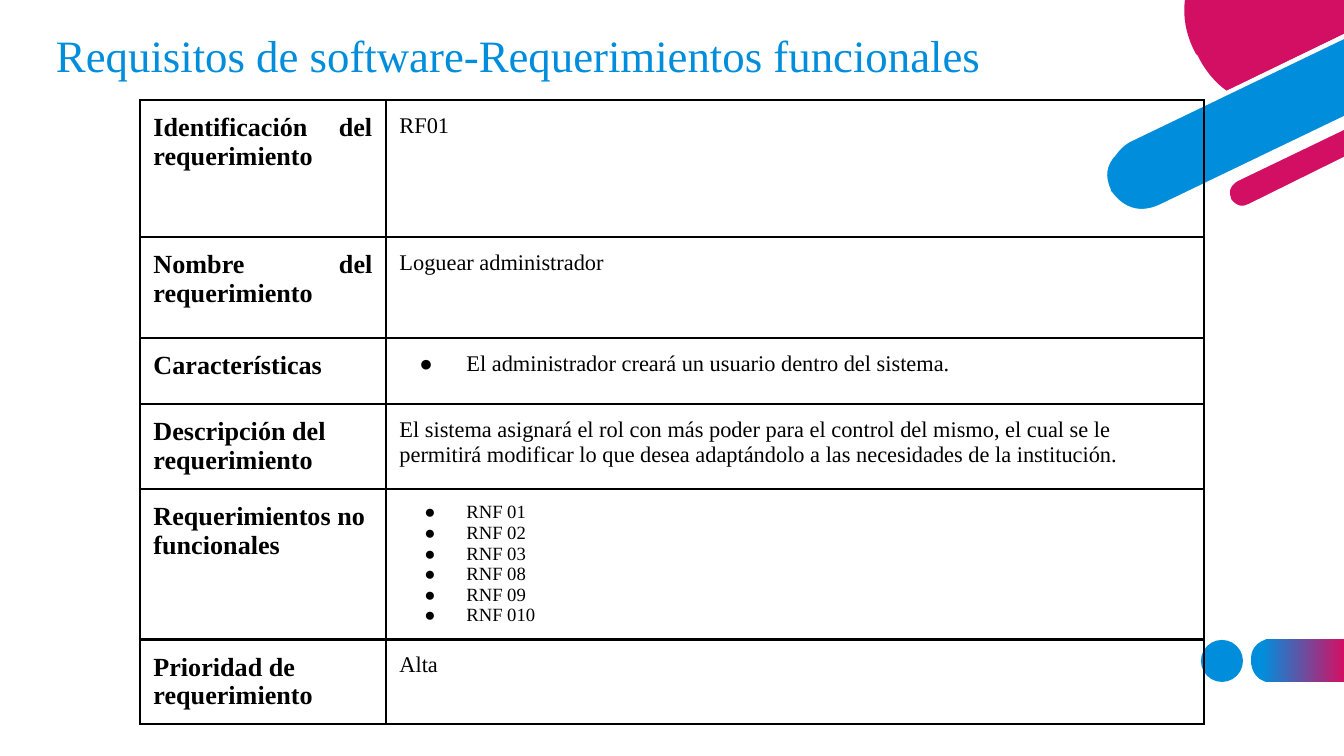
from dataclasses import dataclass

from lxml.etree import SubElement
from pptx import Presentation
from pptx.dml.color import RGBColor as RGB
from pptx.enum.shapes import MSO_SHAPE as Shape
from pptx.enum.text import MSO_ANCHOR as Anchor, PP_ALIGN as Align
from pptx.oxml.ns import qn
from pptx.util import Inches, Pt

SCALE = 914400 / 134.4  # EMU in one px


@dataclass(frozen=True)
class Theme:
    blue: str = "008EDC"
    pink: str = "D30F64"
    white: str = "FFFFFF"
    black: str = "000000"
    font: str = "Times New Roman"
    title: int = 24
    label: int = 14
    body: int = 12
    small: int = 10
    rule: float = 1.5


THEME = Theme()
SIZE = (1344, 756)
TITLE = "Requisitos de software-Requerimientos funcionales"
TITLE_BOX = (46, 15, 1253, 85)

# Label, label alignment, lines, text size, bullet indent in px (0: no bullet), row height
LEFT, JUST = Align.LEFT, Align.JUSTIFY
ROWS = [
    ("Identificación del requerimiento", JUST, ["RF01"], THEME.body, 0, 137),
    ("Nombre del requerimiento", JUST, ["Loguear administrador"], THEME.body, 0, 101),
    ("Características", LEFT,
     ["El administrador creará un usuario dentro del sistema."], THEME.body, 47, 66),
    ("Descripción del requerimiento", LEFT,
     ["El sistema asignará el rol con más poder para el control del mismo, el cual "
      "se le permitirá modificar lo que desea adaptándolo a las necesidades de la "
      "institución."], THEME.body, 0, 85),
    ("Requerimientos no funcionales", LEFT,
     ["RNF 01", "RNF 02", "RNF 03", "RNF 08", "RNF 09", "RNF 010"],
     THEME.small, 42, 150),
    ("Prioridad de requerimiento", LEFT, ["Alta"], THEME.body, 0, 84),
]
TABLE_AT = (140, 100)
COLS = (246, 818)
PAD = Inches(0.1)
HANG = 67

DOT = (1201, 640, 42, 42)
# Outlines in px: a pair is a straight line, six numbers are a cubic curve
PILL = [(1271, 682), (1344, 682), (1344, 639), (1271, 639),
        (1271, 639, 1251, 639, 1251, 660), (1251, 661),
        (1251, 661, 1251, 682, 1271, 682)]
DISC_RIM = [(1343, 82), (1316, 95), (1284, 112, 1254, 109, 1228, 90),
            (1210, 75, 1199, 55, 1199, 55), (1198, 52),
            (1188, 34, 1184, 16, 1187, 0), (1183, 0),
            (1181, 17, 1184, 35, 1193, 54), (1195, 58),
            (1196, 58, 1206, 78, 1226, 93), (1238, 102, 1254, 110, 1274, 110),
            (1288, 110, 1302, 106, 1318, 99), (1343, 87)]
BAR = [(1130, 140), (1130, 140, 1093, 159, 1110, 191),
       (1110, 191, 1126, 223, 1163, 206), (1344, 118), (1344, 36)]
DISC = [(1198, 56), (1198, 56, 1207, 77, 1227, 91), (1344, 34), (1344, 0),
        (1185, 0), (1183, 15, 1185, 34, 1196, 54)]
STRIP = [(1344, 128), (1236, 180), (1236, 180, 1223, 187, 1230, 199), (1230, 200),
         (1230, 200, 1236, 212, 1250, 206), (1344, 160)]
STRIP_RIM = [(1249, 204), (1238, 210, 1232, 200, 1231, 199), (1231, 198),
             (1226, 187, 1238, 181, 1238, 181), (1344, 130), (1344, 125),
             (1236, 177), (1236, 177, 1228, 181, 1226, 188),
             (1226, 192, 1226, 196, 1227, 200), (1230, 204, 1235, 210, 1242, 210),
             (1245, 210, 1247, 210, 1251, 208), (1344, 163), (1344, 157)]
BAR_RIM = [(1161, 204), (1128, 220, 1113, 192, 1111, 191), (1111, 190),
           (1105, 177, 1106, 165, 1116, 155), (1122, 146, 1130, 142, 1130, 142),
           (1344, 39), (1344, 34), (1129, 138), (1128, 138, 1110, 148, 1105, 164),
           (1102, 173, 1103, 181, 1107, 191), (1109, 192),
           (1109, 192, 1120, 214, 1142, 214), (1148, 214, 1156, 212, 1164, 208),
           (1344, 121), (1344, 116)]
ART = [(DISC_RIM, THEME.white), (BAR, THEME.blue), (DISC, THEME.pink),
       (STRIP, THEME.pink), (STRIP_RIM, THEME.white), (BAR_RIM, THEME.white)]


def px(n):
    return round(n * SCALE)


def color(code):
    return RGB.from_string(code)


def paint(shape, code):
    shape.shadow.inherit = False
    shape.line.fill.background()
    shape.fill.solid()
    shape.fill.fore_color.rgb = color(code)


def draw(shapes, parts, code):
    """Build an outline, then join each curve's three lines into one cubic."""
    first, *rest = parts
    pen = shapes.build_freeform(*first, scale=SCALE)
    pen.add_line_segments([part[i:i + 2] for part in rest for i in range(0, len(part), 2)])
    shape = pen.convert_to_shape()
    lines = iter(list(shape._element.iter(qn("a:lnTo"))))
    for part in rest:
        line = next(lines)
        if len(part) == 6:
            line.tag = qn("a:cubicBezTo")
            for extra in (next(lines), next(lines)):
                line.append(extra[0])
                extra.getparent().remove(extra)
    paint(shape, code)
    return shape


def style(para, size, code, bold=False):
    font = para.font
    font.name, font.size, font.bold = THEME.font, Pt(size), bold
    font.color.rgb = color(code)


def bullet(para, hang, size):
    props = para._p.get_or_add_pPr()
    props.set("marL", str(px(HANG)))
    props.set("indent", str(-px(hang)))
    tint = SubElement(props, qn("a:buClr"))
    SubElement(tint, qn("a:srgbClr"), val=THEME.black)
    SubElement(props, qn("a:buSzPts"), val=str(size * 100))
    SubElement(props, qn("a:buFont"), typeface=THEME.font)
    SubElement(props, qn("a:buChar"), char="●")


def frame(cell):
    """Give a clear cell its padding and four border lines."""
    cell.margin_left = cell.margin_right = cell.margin_top = cell.margin_bottom = PAD
    cell.vertical_anchor = Anchor.TOP
    props = cell._tc.get_or_add_tcPr()
    for side in ("lnL", "lnR", "lnT", "lnB"):
        line = SubElement(props, qn("a:" + side), w=str(Pt(THEME.rule)))
        fill = SubElement(line, qn("a:solidFill"))
        SubElement(fill, qn("a:srgbClr"), val=THEME.black)
    cell.fill.background()


def write(cell, lines, size, bold=False, align=LEFT, hang=0):
    frame(cell)
    text = cell.text_frame
    text.text = "\n".join(lines)
    for para in text.paragraphs:
        para.alignment = align
        if hang:
            bullet(para, hang, size)
        style(para, size, THEME.black, bold)


def main():
    deck = Presentation()
    deck.slide_width, deck.slide_height = map(px, SIZE)
    slide = deck.slides.add_slide(deck.slide_layouts[5])
    shapes = slide.shapes

    dot = shapes.add_shape(Shape.OVAL, *map(px, DOT))
    paint(dot, THEME.blue)
    fill = draw(shapes, PILL, THEME.blue).fill
    fill.gradient()
    fill.gradient_angle = 0
    for stop, (pos, code) in zip(fill.gradient_stops, [(0.12, THEME.blue), (1, THEME.pink)]):
        stop.position, stop.color.rgb = pos, color(code)
    for parts, code in ART:
        draw(shapes, parts, code)

    title = shapes.title
    title.left, title.top, title.width, title.height = map(px, TITLE_BOX)
    text = title.text_frame
    text.text = TITLE
    text.vertical_anchor = Anchor.MIDDLE
    text.margin_left = text.margin_right = px(10)
    text.margin_top = text.margin_bottom = px(5)
    para = text.paragraphs[0]
    para.alignment, para.line_spacing = LEFT, 0.9
    style(para, THEME.title, THEME.blue)

    box = (*TABLE_AT, sum(COLS), sum(row[-1] for row in ROWS))
    table = shapes.add_table(len(ROWS), len(COLS), *map(px, box)).table
    table.first_row = table.horz_banding = False
    for col, wide in zip(table.columns, COLS):
        col.width = px(wide)
    for row, (label, align, lines, size, hang, high) in zip(table.rows, ROWS):
        row.height = px(high)
        write(row.cells[0], [label], THEME.label, True, align)
        write(row.cells[1], lines, size, hang=hang)

    deck.save("out.pptx")


if __name__ == "__main__":
    main()
